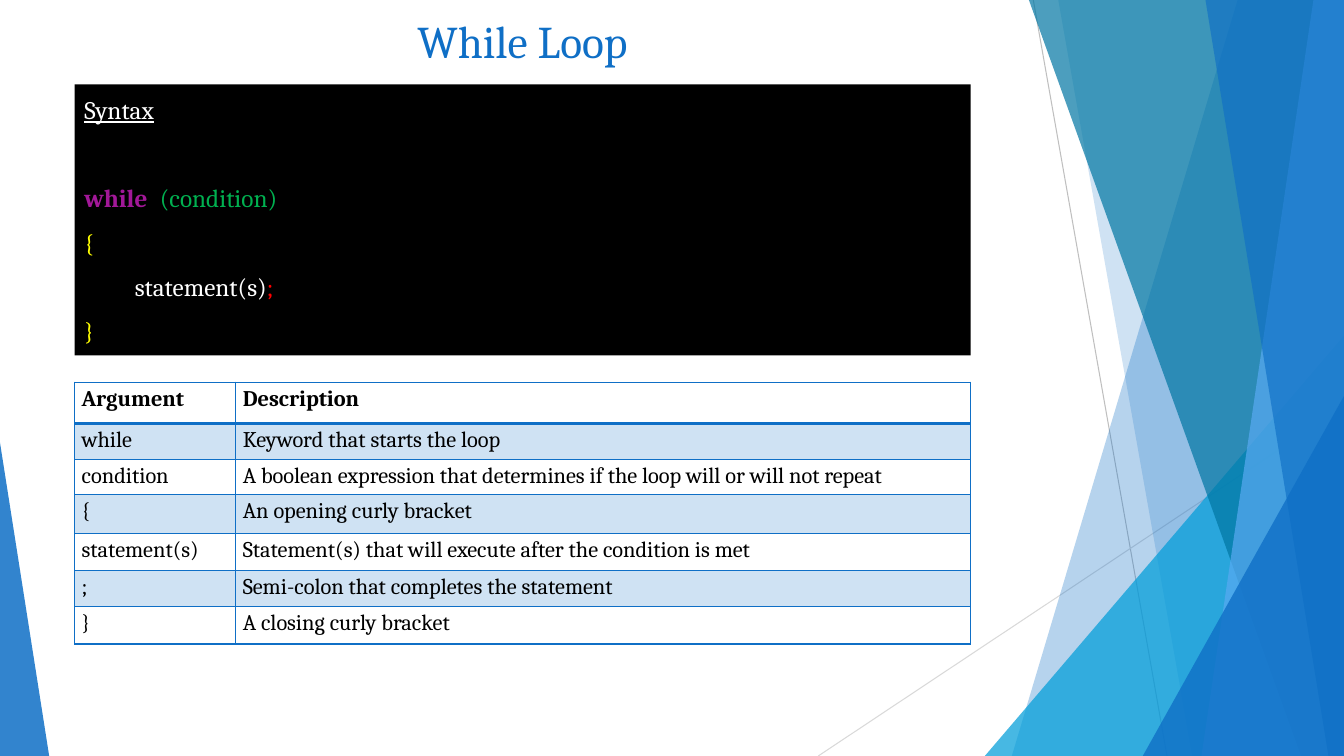
from dataclasses import dataclass

from lxml.etree import SubElement
from pptx import Presentation
from pptx.dml.color import RGBColor
from pptx.enum.shapes import MSO_CONNECTOR, MSO_SHAPE
from pptx.enum.text import MSO_ANCHOR, PP_ALIGN
from pptx.oxml.ns import qn
from pptx.util import Cm, Pt

WIDTH, HEIGHT = 33.87, 19.05
LEFT, CONTENT_WIDTH = 1.88, 22.58


@dataclass(frozen=True)
class Theme:
    font: str = "Cambria"
    title_size: float = 32.4
    code_size: int = 18
    table_size: int = 16
    blue: str = "0F6FC6"
    sky: str = "009DD9"
    teal: str = "0076A3"
    light_blue: str = "59AAF2"
    grey: str = "BFBFBF"
    pale_grey: str = "D9D9D9"
    black: str = "000000"
    white: str = "FFFFFF"
    purple: str = "A21898"
    green: str = "00B050"
    yellow: str = "FFFF00"
    red: str = "FF0000"


def set_attrs(obj, values):
    for name, value in values.items():
        setattr(obj, name, value)


def fill_solid(fill, props, color, opacity=100):
    """Fill with a colour; props is the XML element that holds the fill."""
    fill.solid()
    fill.fore_color.rgb = RGBColor.from_string(color)
    if opacity < 100:
        clr = props.find(qn("a:solidFill")).find(qn("a:srgbClr"))
        SubElement(clr, qn("a:alpha"), val=str(opacity * 1000))


class SlideBuilder:
    def __init__(self, slide, theme):
        self.shapes = slide.shapes
        self.theme = theme

    def line(self, x1, y1, x2, y2, color):
        c = self.shapes.add_connector(
            MSO_CONNECTOR.STRAIGHT, Cm(x1), Cm(y1), Cm(x2), Cm(y2))
        c.line.color.rgb = RGBColor.from_string(color)
        c.line.width = Pt(0.75)
        SubElement(c.element.spPr, qn("a:effectLst"))

    def finish(self, sp, color, opacity=100):
        sp.shadow.inherit = False
        sp.line.fill.background()
        fill_solid(sp.fill, sp.element.spPr, color, opacity)

    def band(self, top_x, bottom_x, color, opacity):
        """Draw a full-height band from a slanted edge to the right side."""
        fb = self.shapes.build_freeform(Cm(top_x), 0)
        corners = [(WIDTH, 0), (WIDTH, HEIGHT), (bottom_x, HEIGHT)]
        fb.add_line_segments([(Cm(x), Cm(y)) for x, y in corners])
        self.finish(fb.convert_to_shape(), color, opacity)

    def triangle(self, x, y, width, peak, color, opacity):
        """Draw a triangle standing on the bottom edge of the slide."""
        sp = self.shapes.add_shape(MSO_SHAPE.ISOSCELES_TRIANGLE,
                                   Cm(x), Cm(y), Cm(width), Cm(HEIGHT - y))
        sp.adjustments[0] = peak
        self.finish(sp, color, opacity)

    def run(self, p, text, size, color, **formats):
        r = p.add_run()
        r.text = text
        set_attrs(r.font, {"name": self.theme.font, "size": Pt(size), **formats})
        r.font.color.rgb = RGBColor.from_string(color)

    def title(self, text, y, height):
        sp = self.shapes.add_textbox(Cm(LEFT), Cm(y), Cm(CONTENT_WIDTH), Cm(height))
        tf = sp.text_frame
        set_attrs(tf, {"word_wrap": True, "margin_top": Cm(0.04),
                       "vertical_anchor": MSO_ANCHOR.TOP})
        p = tf.paragraphs[0]
        p.alignment = PP_ALIGN.CENTER
        self.run(p, text, self.theme.title_size, self.theme.blue)

    def code_box(self, y, height, lines):
        """Each line is (space before, tab stop or None, runs)."""
        sp = self.shapes.add_shape(MSO_SHAPE.RECTANGLE, Cm(LEFT), Cm(y),
                                   Cm(CONTENT_WIDTH), Cm(height))
        self.finish(sp, self.theme.black)
        tf = sp.text_frame
        set_attrs(tf, {"word_wrap": True, "vertical_anchor": MSO_ANCHOR.MIDDLE})
        for i, (space, tab, runs) in enumerate(lines):
            p = tf.add_paragraph() if i else tf.paragraphs[0]
            set_attrs(p, {"alignment": PP_ALIGN.LEFT, "space_before": Pt(space)})
            if tab:
                tabs = SubElement(p._p.get_or_add_pPr(), qn("a:tabLst"))
                SubElement(tabs, qn("a:tab"), pos=str(Cm(tab)), algn="l")
            for text, color, formats in runs:
                self.run(p, text, self.theme.code_size, color, **formats)

    def borders(self, tc_pr, bottom_width):
        for side, width in (("L", 1), ("R", 1), ("T", 1), ("B", bottom_width)):
            ln = SubElement(tc_pr, qn(f"a:ln{side}"), w=str(Pt(width)))
            SubElement(SubElement(ln, qn("a:solidFill")), qn("a:srgbClr"),
                       val=self.theme.blue)

    def cell(self, cell, text, header, banded):
        set_attrs(cell, {"margin_left": Cm(0.18), "margin_right": Cm(0.18),
                         "margin_top": 0, "margin_bottom": 0})
        tc_pr = cell._tc.get_or_add_tcPr()
        self.borders(tc_pr, 2 if header else 1)
        if banded:
            fill_solid(cell.fill, tc_pr, self.theme.blue, 20)
        else:
            cell.fill.background()
        p = cell.text_frame.paragraphs[0]
        p.line_spacing = 1.15
        self.run(p, text, self.theme.table_size, self.theme.black, bold=header)

    def table(self, y, widths, heights, rows):
        frame = self.shapes.add_table(len(rows), len(widths), Cm(LEFT), Cm(y),
                                      Cm(sum(widths)), Cm(sum(heights)))
        table = frame.table
        set_attrs(table, {"first_row": False, "horz_banding": False})
        for column, width in zip(table.columns, widths):
            column.width = Cm(width)
        for i, (row, height, texts) in enumerate(zip(table.rows, heights, rows)):
            row.height = Cm(height)
            for cell, text in zip(row.cells, texts):
                self.cell(cell, text, header=i == 0, banded=i % 2 == 1)


def main():
    prs = Presentation()
    prs.slide_width, prs.slide_height = Cm(WIDTH), Cm(HEIGHT)
    t = Theme()
    s = SlideBuilder(prs.slides.add_slide(prs.slide_layouts[6]), t)

    s.line(26.04, 0, 29.41, HEIGHT, t.grey)
    s.line(WIDTH, 10.24, 20.62, HEIGHT, t.pale_grey)
    s.band(31.19, 25.5, t.blue, 30)
    s.band(26.67, 30.05, t.blue, 20)
    s.triangle(24.82, 8.46, 9.05, 1, t.sky, 72)
    s.band(25.93, 32.79, t.teal, 70)
    s.band(33.1, 30.28, t.light_blue, 70)
    s.band(30.38, 33.48, t.blue, 65)
    s.triangle(28.8, 9.98, 5.07, 1, t.blue, 80)
    s.triangle(0, 11.15, 1.24, 0, t.blue, 85)

    s.title("While Loop", 0.3, 1.8)
    s.code_box(2.13, 6.83, [
        (10, None, [("Syntax", t.white, {"underline": True})]),
        (41.5, 1.9, [("while", t.purple, {"bold": True}),
                     ("\t(condition)", t.green, {})]),
        (10, None, [("{", t.yellow, {})]),
        (10, 1.27, [("\tstatement(s)", t.white, {}), (";", t.red, {})]),
        (10, None, [("}", t.yellow, {})]),
    ])
    s.table(9.63, [4.06, 18.52], [1.04, 0.91, 0.89, 0.97, 0.93, 0.91, 0.95], [
        ("Argument", "Description"),
        ("while", "Keyword that starts the loop"),
        ("condition",
         "A boolean expression that determines if the loop will or will not repeat"),
        ("{", "An opening curly bracket"),
        ("statement(s)", "Statement(s) that will execute after the condition is met"),
        (";", "Semi-colon that completes the statement"),
        ("}", "A closing curly bracket"),
    ])
    prs.save("out.pptx")


if __name__ == "__main__":
    main()
